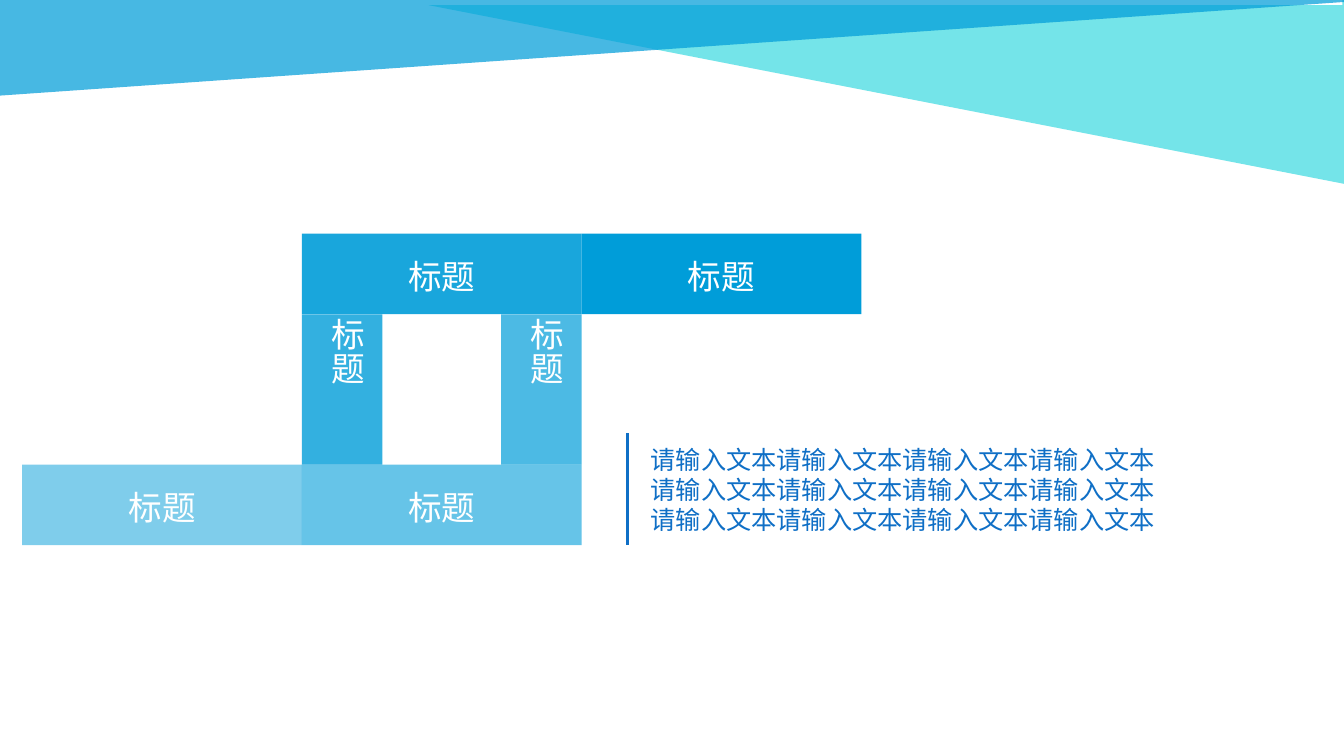
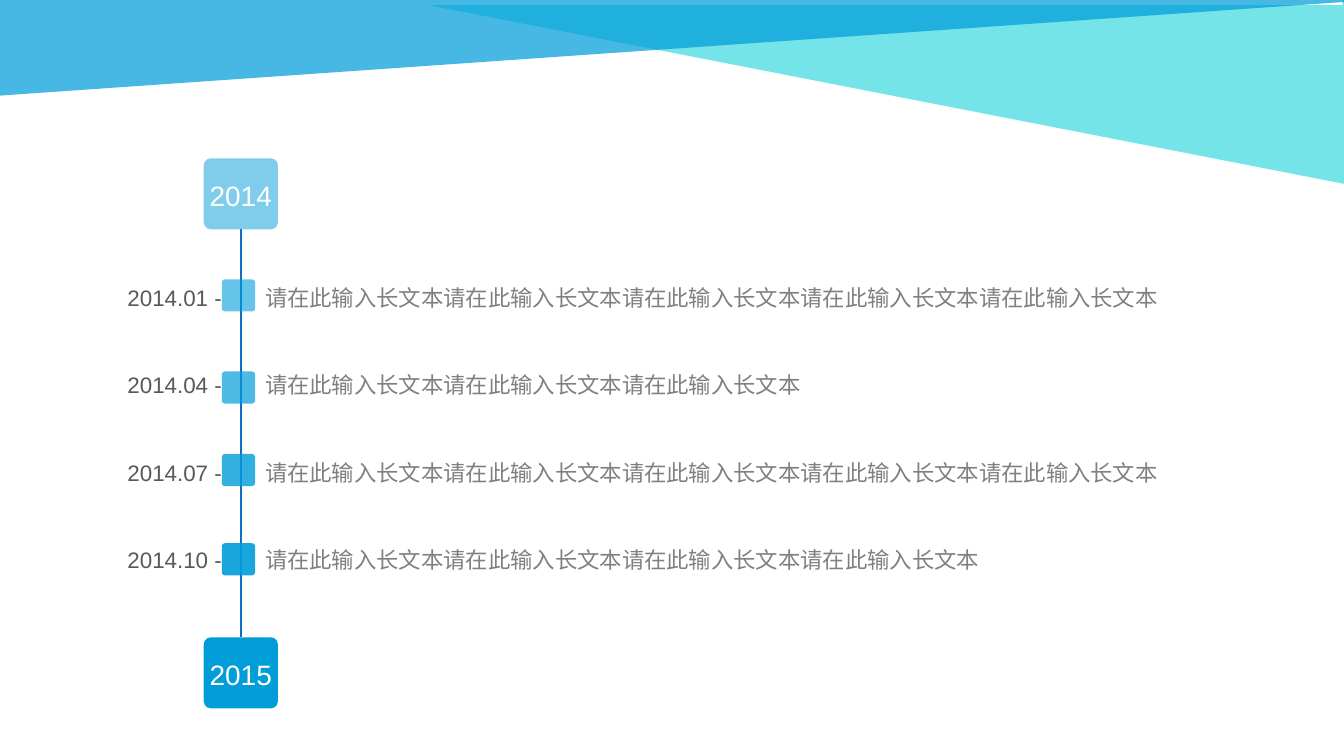
import pptx
import pptx.dml.color
import pptx.enum.shapes
import pptx.enum.text
import pptx.oxml.ns
import pptx.util
from lxml import etree

Cm = pptx.util.Cm
Pt = pptx.util.Pt
qn = pptx.oxml.ns.qn
MSO_SHAPE = pptx.enum.shapes.MSO_SHAPE
PP_ALIGN = pptx.enum.text.PP_ALIGN
MSO_ANCHOR = pptx.enum.text.MSO_ANCHOR

COLORS = {
    "sky": "009DD9",
    "teal": "0BD0D9",
    "blue": "0F6FC6",
    "date": "595959",
    "description": "808080",
    "white": "FFFFFF",
}
FONT = "Arial"
BANDS = [
    ("teal", 57, [(33.83, 0), (33.93, 0), (33.96, 4.65), (10.8, 0.13), (33.83, 0.13)]),
    ("sky", 72, [(33.83, -0.05), (33.88, -0.05), (33.88, 0.05),
                 (0, 2.41), (0, -0.03), (33.83, -0.03)]),
]
BLOCK_TITLE = "标题"
PROMPT = "请输入文本"
LONG_PROMPT = "请在此输入长文本"


def color(name):
    return pptx.dml.color.RGBColor.from_string(COLORS[name])


def paint(shape, name, opacity=100):
    shape.shadow.inherit = False
    shape.line.fill.background()
    shape.fill.solid()
    shape.fill.fore_color.rgb = color(name)
    if opacity < 100:
        fill_color = shape.element.spPr.find(".//" + qn("a:srgbClr"))
        etree.SubElement(fill_color, qn("a:alpha"), val=str(opacity * 1000))


def write(shape, lines, size, color_name, alignment=PP_ALIGN.LEFT):
    frame = shape.text_frame
    frame.text = "\n".join(lines)
    for paragraph in frame.paragraphs:
        paragraph.alignment = alignment
        paragraph.font.name = FONT
        paragraph.font.size = Pt(size)
        paragraph.font.color.rgb = color(color_name)


def add_text(slide, box, lines, size, color_name, alignment=PP_ALIGN.LEFT):
    shape = slide.shapes.add_textbox(*map(Cm, box))
    shape.text_frame.word_wrap = True
    write(shape, lines, size, color_name, alignment)


def add_block(slide, kind, box, opacity, label="", size=24):
    shape = slide.shapes.add_shape(kind, *map(Cm, box))
    paint(shape, "sky", opacity)
    if kind == MSO_SHAPE.ROUNDED_RECTANGLE:
        shape.adjustments[0] = 0.1
    if label:
        frame = shape.text_frame
        frame.vertical_anchor = MSO_ANCHOR.MIDDLE
        frame.margin_left = frame.margin_right = frame.margin_bottom = 0
        frame.margin_top = Cm(0.1)
        write(shape, [label], size, "white", PP_ALIGN.CENTER)
    return shape


def add_line(slide, start, end, width):
    line = slide.shapes.add_connector(
        pptx.enum.shapes.MSO_CONNECTOR.STRAIGHT, *map(Cm, start + end))
    line.line.color.rgb = color("blue")
    line.line.width = Pt(width)
    etree.SubElement(line.element.spPr, qn("a:effectLst"))
    return line


def add_bands(layout, slide):
    for name, opacity, points in BANDS:
        corners = [(Cm(x), Cm(y)) for x, y in points]
        builder = slide.shapes.build_freeform(*corners[0])
        builder.add_line_segments(corners[1:])
        band = builder.convert_to_shape()
        paint(band, name, opacity)
        layout.shapes.element.append(band.element)


def add_block_path(slide, left, top, width, height):
    cell = width / 3
    bar = 2.03
    pillar_top = top + bar
    pillar_height = height - 2 * bar
    for x, opacity in [(left + cell, 80), (left + 2 * cell - bar, 70)]:
        pillar = add_block(slide, MSO_SHAPE.RECTANGLE,
                           (x, pillar_top, bar, pillar_height), opacity, BLOCK_TITLE)
        pillar.text_frame.margin_left = Cm(0.25)
        pillar.element.find(".//" + qn("a:bodyPr")).set("vert", "eaVert")
    bottom = top + height - bar
    for column, y, opacity in [(1, top, 90), (2, top, 100), (0, bottom, 50), (1, bottom, 60)]:
        add_block(slide, MSO_SHAPE.RECTANGLE,
                  (left + column * cell, y, cell, bar), opacity, BLOCK_TITLE)


def add_note(slide, left, top, width, height):
    add_line(slide, (left, top), (left, top + height), 2)
    add_text(slide, (left + 0.33, top + 0.15, width - 0.33, height - 0.25),
             [PROMPT * 4, PROMPT * 8], 18, "blue")


def add_timeline(slide, left, top, width, height):
    axis = left + 4.65
    year_width, year_height = 1.87, 1.79
    years = [
        add_block(slide, MSO_SHAPE.ROUNDED_RECTANGLE,
                  (axis - year_width / 2, y, year_width, year_height), opacity, year, 20)
        for year, y, opacity in [("2014", top, 50), ("2015", top + height - year_height, 100)]
    ]
    line = add_line(slide, (axis, top + year_height), (axis, top + height - year_height), 1.5)
    line.begin_connect(years[0], 2)
    line.end_connect(years[1], 0)

    rows = [("2014.01 -", 5, 0), ("2014.04 -", 3, 0.12),
            ("2014.07 -", 5, 0), ("2014.10 -", 4, 0.05)]
    description_left = axis + 0.36
    for index, (date, repeats, marker_drop) in enumerate(rows):
        row_top = top + 3.05 + 2.2 * index
        add_text(slide, (left, row_top, 4.42, 0.94), [date], 16, "date", PP_ALIGN.RIGHT)
        add_text(slide, (description_left, row_top, left + width - description_left, 1.04),
                 [LONG_PROMPT * repeats], 16, "description")
        add_block(slide, MSO_SHAPE.ROUNDED_RECTANGLE,
                  (axis - 0.48, row_top + marker_drop, 0.84, 0.81), 60 + 10 * index)


def main():
    presentation = pptx.Presentation()
    presentation.slide_width = Cm(33.87)
    presentation.slide_height = Cm(19.05)
    layout = presentation.slide_layouts[6]

    block_slide = presentation.slides.add_slide(layout)
    add_bands(layout, block_slide)
    add_block_path(block_slide, 0.56, 5.89, 21.15, 7.85)
    add_note(block_slide, 15.82, 10.92, 13.6, 2.82)

    timeline_slide = presentation.slides.add_slide(layout)
    add_timeline(timeline_slide, 1.42, 3.99, 29.52, 13.86)

    presentation.save("out.pptx")


if __name__ == "__main__":
    main()
